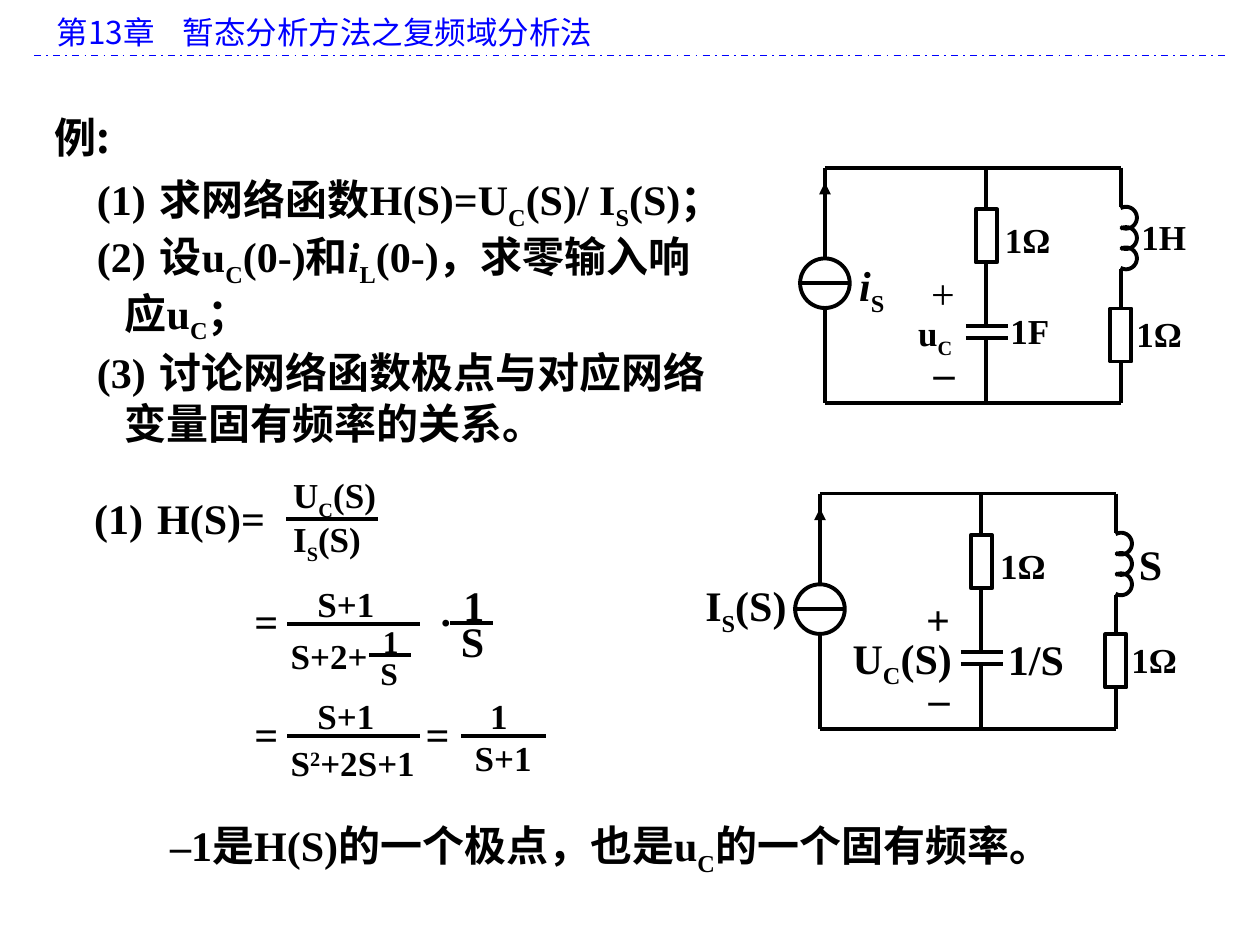
from dataclasses import dataclass
from math import cos, radians, sin

from lxml.etree import SubElement
from pptx import Presentation
from pptx.dml.color import RGBColor
from pptx.enum.dml import MSO_LINE
from pptx.enum.shapes import MSO_CONNECTOR, MSO_SHAPE
from pptx.enum.text import MSO_ANCHOR, MSO_AUTO_SIZE, PP_ALIGN
from pptx.oxml.ns import qn
from pptx.util import Cm, Pt

COLORS = {"ink": "000000", "heading": "0000FF"}
LATIN, HAN = "Times New Roman", "Noto Sans CJK SC"
BOX_HEIGHT = {18: 1.02, 20: 1.09, 24: 1.27}
NUMBER_TAB = 1.6


@dataclass(frozen=True)
class Piece:
    text: str
    baseline: int = 0
    italic: bool = False
    font: str = LATIN


@dataclass(frozen=True)
class Label:
    left: float
    top: float
    pieces: tuple
    size: int = 20
    width: float = 3.2
    bold: bool = True
    spacing: float = 0
    tab: float = 0


@dataclass(frozen=True)
class Row:
    pieces: tuple
    spacing: float
    margin: float = 0


@dataclass(frozen=True)
class Bar:
    left: float
    right: float
    y: float


@dataclass(frozen=True)
class Circuit:
    left: float
    top: float
    plus_bold: bool
    labels: tuple


def plain(text: str) -> tuple:
    return (Piece(text),)


def sub(text: str) -> Piece:
    return Piece(text, -25)


def han(text: str) -> Piece:
    return Piece(text, font=HAN)


def of_s(symbol: str, index: str) -> tuple:
    return Piece(symbol), sub(index), Piece("(S)")


def write(paragraph, pieces: tuple, size: int, bold: bool = True, color: str = "ink",
          spacing: float = 0, tab: float = 0, margin: float = 0) -> None:
    properties = paragraph._p.get_or_add_pPr()
    properties.set("marL", str(Cm(margin)))
    properties.set("indent", "0")
    SubElement(properties, qn("a:buNone"))
    if tab:
        tabs = SubElement(properties, qn("a:tabLst"))
        SubElement(tabs, qn("a:tab"), pos=str(Cm(tab)), algn="l")
    paragraph.alignment = PP_ALIGN.LEFT
    paragraph.space_before = Pt(0)
    if spacing:
        paragraph.line_spacing = Pt(spacing)
    for piece in pieces:
        run = paragraph.add_run()
        run.text = piece.text
        font = run.font
        font.name, font.size = piece.font, Pt(size)
        font.bold, font.italic = bold, piece.italic
        font.color.rgb = RGBColor.from_string(COLORS[color])
        run_properties = run._r.get_or_add_rPr()
        SubElement(run_properties, qn("a:ea"), typeface=HAN)
        if piece.baseline:
            run_properties.set("baseline", str(piece.baseline * 1000))


def place(holder, left: float, top: float, width: float, height: float):
    holder.left, holder.top = Cm(left), Cm(top)
    holder.width, holder.height = Cm(width), Cm(height)
    frame = holder.text_frame
    frame.word_wrap = True
    frame.auto_size = MSO_AUTO_SIZE.NONE
    frame.vertical_anchor = MSO_ANCHOR.TOP
    return frame


def draw_label(slide, label: Label, dx: float = 0, dy: float = 0) -> None:
    area = (label.left + dx, label.top + dy, label.width, BOX_HEIGHT[label.size])
    holder = slide.shapes.add_textbox(*map(Cm, area))
    frame = place(holder, *area)
    write(frame.paragraphs[0], label.pieces, label.size, label.bold,
          spacing=label.spacing, tab=label.tab)


def draw_line(slide, x1: float, y1: float, x2: float, y2: float,
              color: str = "ink", weight: float = 2.25):
    wire = slide.shapes.add_connector(MSO_CONNECTOR.STRAIGHT, Cm(x1), Cm(y1), Cm(x2), Cm(y2))
    wire.line.color.rgb = RGBColor.from_string(COLORS[color])
    wire.line.width = Pt(weight)
    SubElement(wire._element.spPr, qn("a:effectLst"))
    return wire


def outline(shape) -> None:
    shape.shadow.inherit = False
    shape.fill.background()
    shape.line.color.rgb = RGBColor.from_string(COLORS["ink"])
    shape.line.width = Pt(2.25)


def draw_turn(slide, x: float, y: float) -> None:
    radius = 0.22
    points = [(Cm(x + radius * (0.5 + cos(radians(angle)))), Cm(y + radius * sin(radians(angle))))
              for angle in range(-120, 121, 10)]
    builder = slide.shapes.build_freeform(*points[0])
    builder.add_line_segments(points[1:], close=False)
    outline(builder.convert_to_shape())


def draw_circuit(slide, circuit: Circuit) -> None:
    x, y = circuit.left, circuit.top
    middle, right, bottom = 3.25, 5.96, 4.75
    wires = [(0, 0, right, 0), (0, bottom, right, bottom), (-0.55, 2.33, 0.52, 2.33),
             (2.84, 3.2, 3.68, 3.2), (2.84, 3.43, 3.68, 3.43)]
    stretches = {0: [(0, 1.84), (2.81, bottom)],
                 middle: [(0, 0.84), (1.91, 3.2), (3.43, bottom)],
                 right: [(0, 0.8), (2.04, 2.84), (3.91, bottom)]}
    wires += [(at, start, at, end) for at, spans in stretches.items() for start, end in spans]
    for x1, y1, x2, y2 in wires:
        draw_line(slide, x + x1, y + y1, x + x2, y + y2)
    current = draw_line(slide, x, y + 1.35, x, y + 0.3)
    SubElement(current.line._get_or_add_ln(), qn("a:tailEnd"), type="triangle")
    outline(slide.shapes.add_shape(MSO_SHAPE.OVAL, Cm(x - 0.5), Cm(y + 1.83), Cm(1), Cm(1)))
    for at, start in ((middle, 0.84), (right, 2.84)):
        outline(slide.shapes.add_shape(MSO_SHAPE.RECTANGLE, Cm(x + at - 0.21), Cm(y + start),
                                       Cm(0.43), Cm(1.07)))
    for turn in range(3):
        draw_turn(slide, x + right, y + 1.01 + 0.41 * turn)
    shared = (Label(3.38, 0.9, plain("1Ω")), Label(6.03, 2.8, plain("1Ω"), width=2.1),
              Label(1.89, 1.88, plain("+"), 24, 1.2, circuit.plus_bold),
              Label(1.94, 3.48, plain("–"), 24, 1.2))
    for label in shared + circuit.labels:
        draw_label(slide, label, x, y)


QUESTIONS = (
    Row((Piece("(1)\t求网络函数H(S)=U"), sub("C"), Piece("(S)/ I"), sub("S"), Piece("(S)；")), 34),
    Row((Piece("(2)\t设u"), sub("C"), Piece("(0-)和"), Piece("i", italic=True), sub("L"),
         Piece("(0-)，求"), han("零输入响")), 32.5),
    Row((han("应"), Piece("u"), sub("C"), han("；")), 32.5, 0.56),
    Row((Piece("(3)\t"), han("讨论网络函数极点与对应网络")), 30),
    Row((han("变量固有频率的关系。"),), 29, 0.56),
)
TEXTS = (
    Label(0.84, 2.08, (han("例:"),), 24, 3.81, spacing=30),
    Label(1.65, 9.8, plain("(1)\tH(S)="), 24, 5.87, tab=NUMBER_TAB),
    Label(5.66, 9.42, of_s("U", "C")),
    Label(5.66, 10.31, of_s("I", "S")),
    Label(4.88, 11.89, plain("="), 24, 1.2),
    Label(6.15, 11.61, plain("S+1")),
    Label(5.61, 12.67, plain("S+2+")),
    Label(7.47, 12.42, plain("1"), 18),
    Label(7.42, 13.06, plain("S"), 18),
    Label(8.6, 11.89, plain("·"), 24, 1.2),
    Label(9.09, 11.56, plain("1"), 24, 1.2),
    Label(9.04, 12.29, plain("S"), 24, 1.2),
    Label(4.88, 14.15, plain("="), 24, 1.2),
    Label(6.15, 13.87, plain("S+1")),
    Label(5.61, 14.83, (Piece("S"), Piece("2", 30), Piece("+2S+1"))),
    Label(8.33, 14.15, plain("="), 24, 1.2),
    Label(9.63, 13.87, plain("1")),
    Label(9.32, 14.73, plain("S+1")),
    Label(3.18, 16.41, (Piece("–1"), han("是"), Piece("H(S)"), han("的一个极点，也是"), Piece("u"),
                        sub("C"), han("的一个固有频率。")), 24, 21.01, spacing=32.5),
)
BARS = (Bar(5.77, 7.62, 10.46), Bar(5.79, 8.46, 12.57), Bar(7.44, 8.28, 13.21),
        Bar(9.07, 9.93, 12.55), Bar(5.79, 8.46, 14.83), Bar(9.3, 11, 14.83))
CIRCUITS = (
    Circuit(16.63, 3.38, False, (
        Label(6.13, 0.84, plain("1H"), width=1.9), Label(3.49, 2.74, plain("1F"), width=1.9),
        Label(0.44, 1.73, (Piece("i", italic=True), sub("S")), 24, 1.52),
        Label(1.63, 2.77, (Piece("u"), sub("C")), width=1.4))),
    Circuit(16.53, 9.95, True, (
        Label(6.18, 0.79, plain("S"), 24, 1.8), Label(3.54, 2.7, plain("1/S"), 24, 1.9),
        Label(-2.56, 1.61, of_s("I", "S"), 24), Label(0.41, 2.67, of_s("U", "C"), 24))),
)


def main() -> None:
    deck = Presentation()
    deck.slide_width, deck.slide_height = Cm(25.4), Cm(19.05)
    slide = deck.slides.add_slide(deck.slide_layouts[1])
    heading = place(slide.shapes.title, 0.89, 0.13, 23.8, 1.02)
    write(heading.paragraphs[0], (han("第13章\t暂态分析方法之复频域分析法"),), 18, False,
          "heading", spacing=22, tab=2.58)
    rule = draw_line(slide, 0.69, 1.12, 24.69, 1.12, "heading", 1)
    rule.line.dash_style = MSO_LINE.DASH_DOT
    questions = place(slide.placeholders[1], 1.7, 3.33, 15.82, 5.33)
    for index, row in enumerate(QUESTIONS):
        paragraph = questions.add_paragraph() if index else questions.paragraphs[0]
        write(paragraph, row.pieces, 24, spacing=row.spacing, tab=NUMBER_TAB, margin=row.margin)
    for label in TEXTS:
        draw_label(slide, label)
    for bar in BARS:
        draw_line(slide, bar.left, bar.y, bar.right, bar.y)
    for circuit in CIRCUITS:
        draw_circuit(slide, circuit)
    deck.save("out.pptx")


if __name__ == "__main__":
    main()
